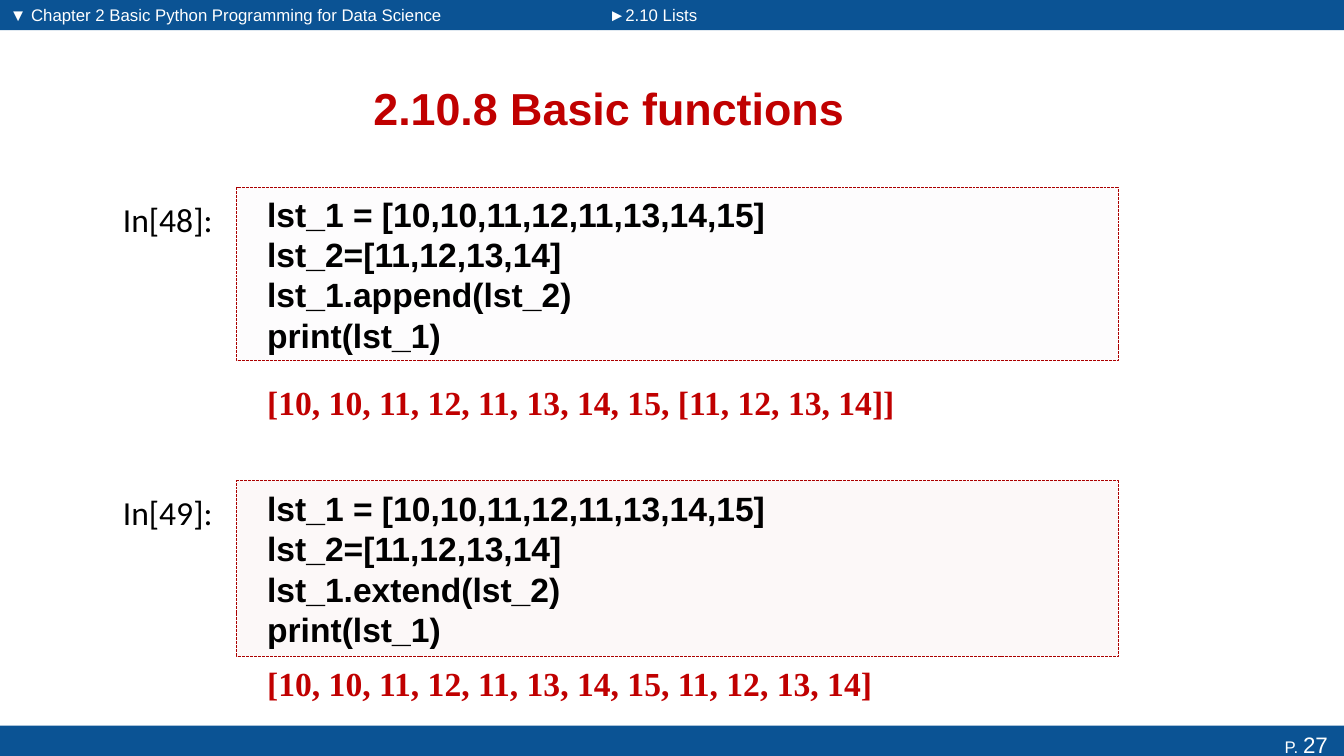
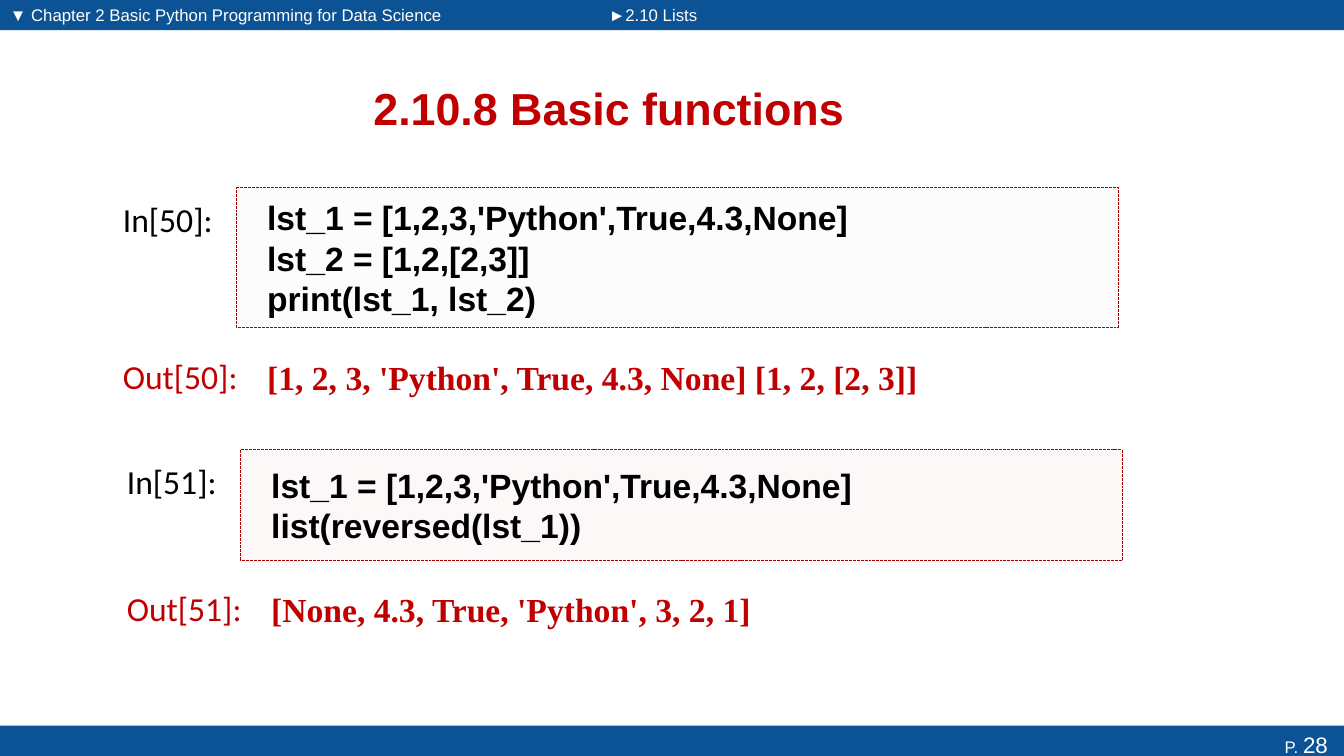
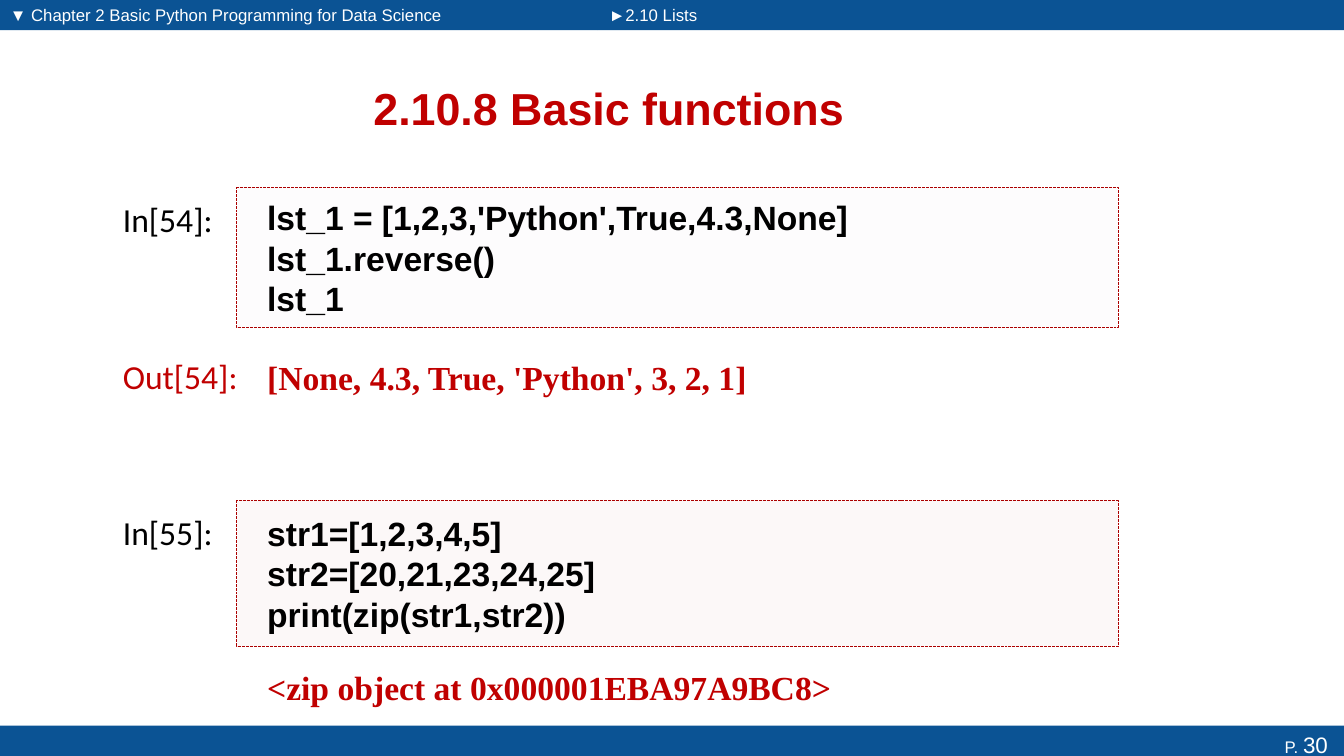
"""Build three slides on basic list functions, each with two notebook cells."""
from dataclasses import dataclass

from lxml import etree
from pptx import Presentation
from pptx.dml.color import RGBColor
from pptx.enum.dml import MSO_LINE
from pptx.enum.shapes import MSO_SHAPE, PP_PLACEHOLDER
from pptx.enum.text import MSO_ANCHOR, PP_ALIGN
from pptx.oxml.ns import qn
from pptx.util import Inches, Pt

BAND_BLUE = RGBColor(0x0B, 0x53, 0x94)
RED = RGBColor(0xC0, 0x00, 0x00)
BORDER_RED = RGBColor(0xAB, 0x00, 0x00)
LILAC = RGBColor(0xF1, 0xEE, 0xF4)
ROSE = RGBColor(0xED, 0xCD, 0xCB)
BLACK = RGBColor(0x00, 0x00, 0x00)
WHITE = RGBColor(0xFF, 0xFF, 0xFF)

RECTANGLE = MSO_SHAPE.RECTANGLE
SYSTEM_DASH = MSO_LINE.SQUARE_DOT
MIDDLE, TOP = MSO_ANCHOR.MIDDLE, MSO_ANCHOR.TOP
LEFT, CENTER, RIGHT = PP_ALIGN.LEFT, PP_ALIGN.CENTER, PP_ALIGN.RIGHT
TITLE = PP_PLACEHOLDER.TITLE

SLIDE_WIDTH, SLIDE_HEIGHT = 13.33, 7.5
TITLE_ONLY = 5
HEADER_SPLIT = 5.93
FOOTER_TOP = 7.2
BANDS = [
    (0, 0, HEADER_SPLIT, 0.3),
    (0, FOOTER_TOP, SLIDE_WIDTH, 0.37),
    (HEADER_SPLIT, 0, SLIDE_WIDTH - HEADER_SPLIT, 0.3),
]
CHAPTER = "▼ Chapter 2 Basic Python Programming for Data Science"
SECTION = "►2.10 Lists"
HEADING = "2.10.8 Basic functions"

CODE_LEFT, CODE_WIDTH = 2.35, 8.74
LABEL_OFFSET, LABEL_DROP, LABEL_WIDTH = 1.23, 0.06, 1.5
FILL_OPACITY = 13


@dataclass
class Cell:
    """A notebook cell: its number, code, output and place."""
    number: int
    code: str
    output: str
    top: float
    height: float
    output_top: float
    output_label: bool = True
    left: float = CODE_LEFT


PAGES = {
    27: [
        Cell(48, "lst_1 = [10,10,11,12,11,13,14,15]\nlst_2=[11,12,13,14]\n"
             "lst_1.append(lst_2)\nprint(lst_1)",
             "[10, 10, 11, 12, 11, 13, 14, 15, [11, 12, 13, 14]]",
             1.86, 1.72, 3.66, output_label=False),
        Cell(49, "lst_1 = [10,10,11,12,11,13,14,15]\nlst_2=[11,12,13,14]\n"
             "lst_1.extend(lst_2)\nprint(lst_1)",
             "[10, 10, 11, 12, 11, 13, 14, 15, 11, 12, 13, 14]",
             4.77, 1.74, 6.45, output_label=False),
    ],
    28: [
        Cell(50, "lst_1 = [1,2,3,'Python',True,4.3,None]\n"
             "lst_2 = [1,2,[2,3]]\nprint(lst_1, lst_2)",
             "[1, 2, 3, 'Python', True, 4.3, None] [1, 2, [2, 3]]",
             1.86, 1.39, 3.42),
        Cell(51, "lst_1 = [1,2,3,'Python',True,4.3,None]\nlist(reversed(lst_1))",
             "[None, 4.3, True, 'Python', 3, 2, 1]",
             4.46, 1.1, 5.72, left=2.39),
    ],
    30: [
        Cell(54, "lst_1 = [1,2,3,'Python',True,4.3,None]\nlst_1.reverse()\nlst_1",
             "[None, 4.3, True, 'Python', 3, 2, 1]",
             1.86, 1.39, 3.42),
        Cell(55, "str1=[1,2,3,4,5]\nstr2=[20,21,23,24,25]\nprint(zip(str1,str2))",
             "<zip object at 0x000001EBA97A9BC8>",
             4.97, 1.44, 6.49, output_label=False),
    ],
}


def write(shape, text, font, size, color, bold=False, align=LEFT, anchor=TOP):
    """Fill a shape with text in a single style."""
    frame = shape.text_frame
    frame.text = text
    frame.word_wrap = True
    frame.vertical_anchor = anchor
    for paragraph in frame.paragraphs:
        paragraph.alignment = align
        for run in paragraph.runs:
            run.font.name = font
            run.font.size = Pt(size)
            run.font.bold = bold
            run.font.color.rgb = color


def add_text(shapes, place, text, *style, **layout):
    """Add a text box at a place given in inches."""
    box = shapes.add_textbox(*map(Inches, place))
    write(box, text, *style, **layout)
    return box


def add_rectangle(shapes, place, color):
    """Add a flat filled rectangle without outline."""
    rectangle = shapes.add_shape(RECTANGLE, *map(Inches, place))
    rectangle.shadow.inherit = False
    rectangle.fill.solid()
    rectangle.fill.fore_color.rgb = color
    rectangle.line.fill.background()
    return rectangle


def set_opacity(shape, percent):
    """Make the solid fill of a shape translucent."""
    color = shape.element.spPr.find(qn("a:solidFill"))[0]
    etree.SubElement(color, qn("a:alpha"), val=str(percent * 1000))


def set_up_layout(slide):
    """Give the layout of a slide its bands and title position."""
    layout = slide.slide_layout
    for placeholder in list(layout.placeholders):
        if placeholder.placeholder_format.type == TITLE:
            title = placeholder
        else:
            placeholder.element.getparent().remove(placeholder.element)
    title.left, title.top = Inches(0.68), Inches(0.62)
    title.width, title.height = Inches(10.72), Inches(0.9)
    for place in BANDS:
        band = add_rectangle(slide.shapes, place, BAND_BLUE)
        title.element.addprevious(band.element)


def add_captions(slide, page):
    """Write the title, the header captions and the page number."""
    write(slide.shapes.title, HEADING, "Arial", 32, RED, bold=True,
          align=CENTER, anchor=MIDDLE)
    for left, width, caption in ((0, 4.83, CHAPTER), (5.94, 2.57, SECTION)):
        add_text(slide.shapes, (left, 0, width, 0.29), caption, "Arial", 12, WHITE)
    footer = add_text(slide.shapes, (SLIDE_WIDTH - 2, FOOTER_TOP, 2, 0.37), "P. ",
                      "Arial", 12, WHITE, align=RIGHT)
    footer.text_frame.margin_right = Inches(0.16)
    number = footer.text_frame.paragraphs[0].add_run()
    number.text = str(page)
    number.font.name = "Arial"
    number.font.size = Pt(16)
    number.font.color.rgb = WHITE


def add_label(shapes, cell, prefix, top, color):
    """Add the In or Out label beside a cell."""
    place = (cell.left - LABEL_OFFSET, top + LABEL_DROP, LABEL_WIDTH, 0.5)
    add_text(shapes, place, f"{prefix}[{cell.number}]:", "Calibri", 24, color)


def add_cell(slide, cell, tint):
    """Add a notebook cell as one group."""
    shapes = slide.shapes.add_group_shape().shapes
    add_label(shapes, cell, "In", cell.top, BLACK)
    code = add_rectangle(shapes, (cell.left, cell.top, CODE_WIDTH, cell.height), tint)
    set_opacity(code, FILL_OPACITY)
    code.line.color.rgb = BORDER_RED
    code.line.width = Pt(0.7)
    code.line.dash_style = SYSTEM_DASH
    write(code, cell.code, "Arial", 24, BLACK, bold=True, anchor=MIDDLE)
    if cell.output_label:
        add_label(shapes, cell, "Out", cell.output_top, RED)
    output = add_text(shapes, (cell.left, cell.output_top, CODE_WIDTH, 0.65),
                      cell.output, "Times New Roman", 24, RED, bold=True,
                      anchor=MIDDLE)
    for box in (code, output):
        box.text_frame.margin_left = Inches(0.3)


def main():
    """Build and save the presentation."""
    presentation = Presentation()
    presentation.slide_width = Inches(SLIDE_WIDTH)
    presentation.slide_height = Inches(SLIDE_HEIGHT)
    layout = presentation.slide_layouts[TITLE_ONLY]
    for index, (page, cells) in enumerate(PAGES.items()):
        slide = presentation.slides.add_slide(layout)
        if index == 0:
            set_up_layout(slide)
        for cell, tint in zip(cells, (LILAC, ROSE)):
            add_cell(slide, cell, tint)
        add_captions(slide, page)
    presentation.save("out.pptx")


if __name__ == "__main__":
    main()
